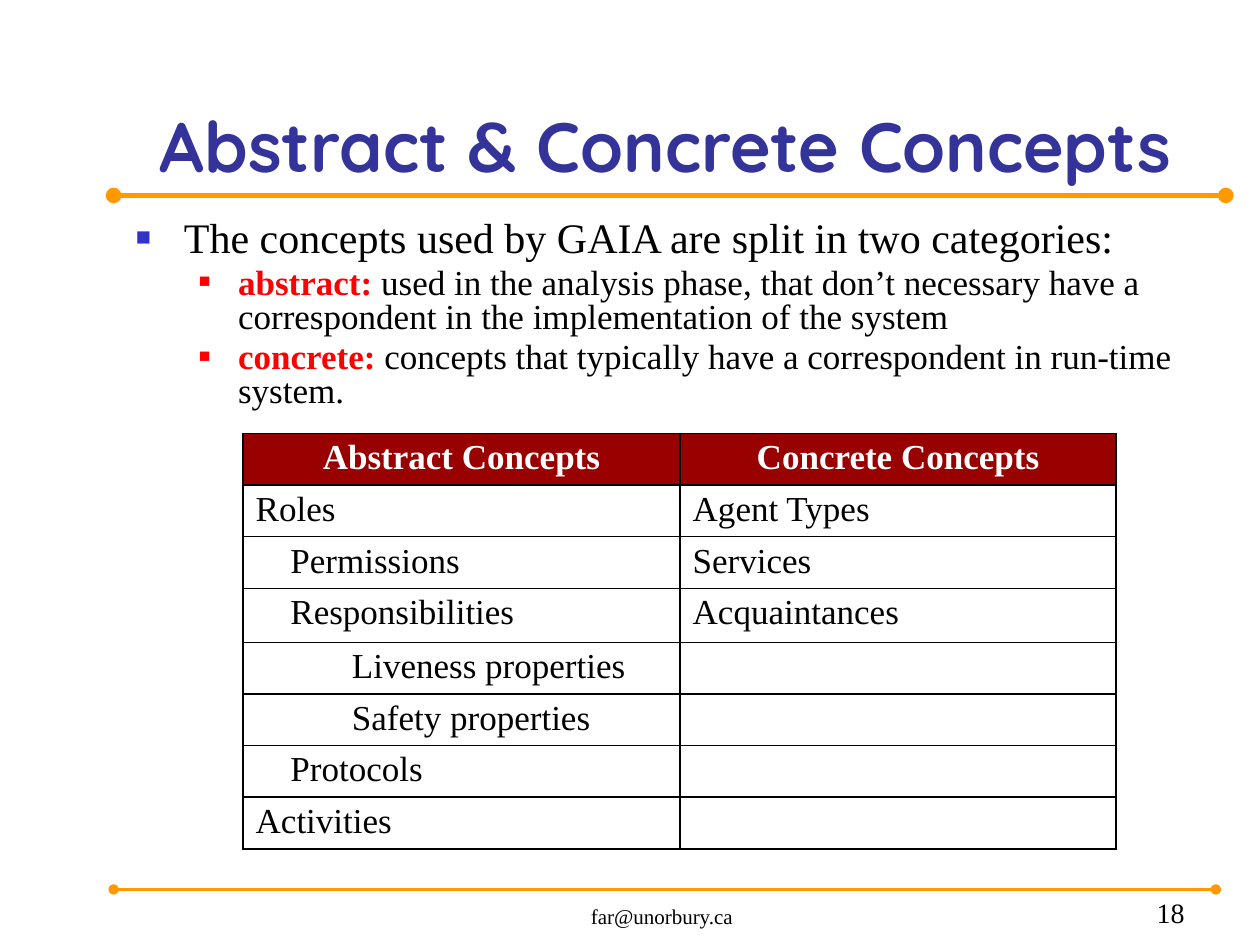
from dataclasses import dataclass

from lxml import etree
from pptx import Presentation, util as u
from pptx.dml.color import RGBColor
from pptx.enum import shapes, text
from pptx.oxml.ns import qn

Cm, Pt = u.Cm, u.Pt
LEFT, MID, RIGHT = text.PP_ALIGN.LEFT, text.PP_ALIGN.CENTER, text.PP_ALIGN.RIGHT


@dataclass
class Theme:
    """Colours, faces and type sizes."""
    ink: str = "000000"
    white: str = "FFFFFF"
    navy: str = "333399"
    blue: str = "3333CC"
    red: str = "FF0000"
    wine: str = "990000"
    gold: str = "FF9900"
    face: str = "Times New Roman"
    head: str = "Quicksand"
    title: int = 40
    lead: int = 24
    body: int = 20
    page: int = 16
    foot: int = 12


def put(item, **vals):
    for name, val in vals.items():
        setattr(item, name, val)


def add(node, tag, **vals):
    child = etree.SubElement(node, qn(tag))
    for name, val in vals.items():
        child.set(name, str(val))
    return child


class Deck:
    """Holds the theme and the current slide."""

    def __init__(self, theme):
        self.theme = theme
        self.file = Presentation()
        put(self.file, slide_width=Cm(25.4), slide_height=Cm(19.05))
        self.slide = self.file.slides.add_slide(self.file.slide_layouts[5])

    def run(self, para, words, size, tint=None, bold=False, face=None):
        run = para.add_run()
        run.text = words
        put(run.font, size=Pt(size), bold=bold, name=face or self.theme.face)
        run.font.color.rgb = RGBColor.from_string(tint or self.theme.ink)

    def frame(self, shape, anchor):
        put(shape.text_frame, word_wrap=True, vertical_anchor=anchor,
            auto_size=text.MSO_AUTO_SIZE.NONE)
        return shape.text_frame

    def title(self, words, box):
        shape = self.slide.shapes.title
        put(shape, **dict(zip(("left", "top", "width", "height"), map(Cm, box))))
        para = self.frame(shape, text.MSO_ANCHOR.BOTTOM).paragraphs[0]
        para.alignment = LEFT
        self.run(para, words, self.theme.title, self.theme.navy, True, self.theme.head)

    def rule(self, left, right, top, width):
        line = self.slide.shapes.add_connector(
            shapes.MSO_CONNECTOR.STRAIGHT, Cm(left), Cm(top), Cm(right), Cm(top))
        line.line.color.rgb = RGBColor.from_string(self.theme.gold)
        line.line.width = Pt(width)
        props = line._element.spPr
        for end in ("a:headEnd", "a:tailEnd"):
            add(props.find(qn("a:ln")), end, type="oval")
        add(props, "a:effectLst")

    def label(self, words, box, size, align):
        shape = self.slide.shapes.add_textbox(*map(Cm, box))
        para = self.frame(shape, text.MSO_ANCHOR.BOTTOM).paragraphs[0]
        para.alignment = align
        self.run(para, words, size)

    def points(self, items, box):
        theme = self.theme
        styles = [(theme.lead, theme.blue, 60, 0.97, 0.97),
                  (theme.body, theme.red, 55, 2.06, 0.79)]
        frame = self.frame(self.slide.shapes.add_textbox(*map(Cm, box)),
                           text.MSO_ANCHOR.TOP)
        for i, (level, term, words) in enumerate(items):
            size, tint, scale, left, hang = styles[level]
            para = frame.add_paragraph() if i else frame.paragraphs[0]
            put(para, level=level, line_spacing=0.8, space_before=Pt(size * 0.2))
            props = para._p.get_or_add_pPr()
            props.set("marL", str(Cm(left)))
            props.set("indent", str(-Cm(hang)))
            add(add(props, "a:buClr"), "a:srgbClr", val=tint)
            add(props, "a:buSzPct", val=scale * 1000)
            add(props, "a:buFont", typeface=theme.face)
            add(props, "a:buChar", char="■")
            if term:
                self.run(para, term, size, theme.red, True)
            self.run(para, words, size)

    def cell(self, cell, words, depth, head):
        theme = self.theme
        put(cell, margin_top=Cm(0.1), margin_bottom=Cm(0.1))
        props = cell._tc.get_or_add_tcPr()
        for side in ("L", "R", "T", "B"):
            edge = add(props, "a:ln" + side, w=Pt(1))
            add(add(edge, "a:solidFill"), "a:srgbClr", val=theme.ink)
        if head:
            cell.fill.solid()
            cell.fill.fore_color.rgb = RGBColor.from_string(theme.wine)
        else:
            cell.fill.background()
        para = cell.text_frame.paragraphs[0]
        para.alignment = MID if head else LEFT
        para._p.get_or_add_pPr().set("marL", str(Cm((0, 0.7, 1.94)[depth])))
        if words:
            self.run(para, words, theme.body, theme.white if head else theme.ink, head)

    def table(self, rows, left, top, widths, heights):
        grid = self.slide.shapes.add_table(
            len(rows), len(widths), Cm(left), Cm(top),
            Cm(sum(widths)), Cm(sum(heights))).table
        put(grid, first_row=False, horz_banding=False)
        for col, width in zip(grid.columns, widths):
            col.width = Cm(width)
        for i, (depth, *words) in enumerate(rows):
            grid.rows[i].height = Cm(heights[i])
            for j, word in enumerate(words):
                self.cell(grid.cell(i, j), word, 0 if j else depth, i == 0)


def main():
    theme = Theme()
    deck = Deck(theme)
    deck.rule(2.29, 24.71, 3.94, 3)
    deck.rule(2.29, 24.51, 17.93, 1.5)
    deck.label("far@unorbury.ca", (9.32, 17.73, 8.05, 1.12), theme.foot, MID)
    deck.label("18", (18.85, 17.73, 5.28, 1.12), theme.page, RIGHT)
    deck.title("Abstract & Concrete Concepts", (2.97, 0.71, 21.87, 3.18))
    deck.points([
        (0, "", "The concepts used by GAIA are split in two categories:"),
        (1, "abstract: ", "used in the analysis phase, that don’t necessary have a "
                          "correspondent in the implementation of the system"),
        (1, "concrete: ", "concepts that typically have a correspondent in "
                          "run-time system."),
    ], (2.49, 4.34, 22.23, 4.6))
    deck.table([
        (0, "Abstract Concepts", "Concrete Concepts"),
        (0, "Roles", "Agent Types"),
        (1, "Permissions", "Services"),
        (1, "Responsibilities", "Acquaintances"),
        (2, "Liveness properties", ""),
        (2, "Safety properties", ""),
        (1, "Protocols", ""),
        (0, "Activities", ""),
    ], 4.9, 8.74, (8.81, 8.79), [1.04] * 3 + [1.09] + [1.04] * 4)
    deck.file.save("out.pptx")


if __name__ == "__main__":
    main()
